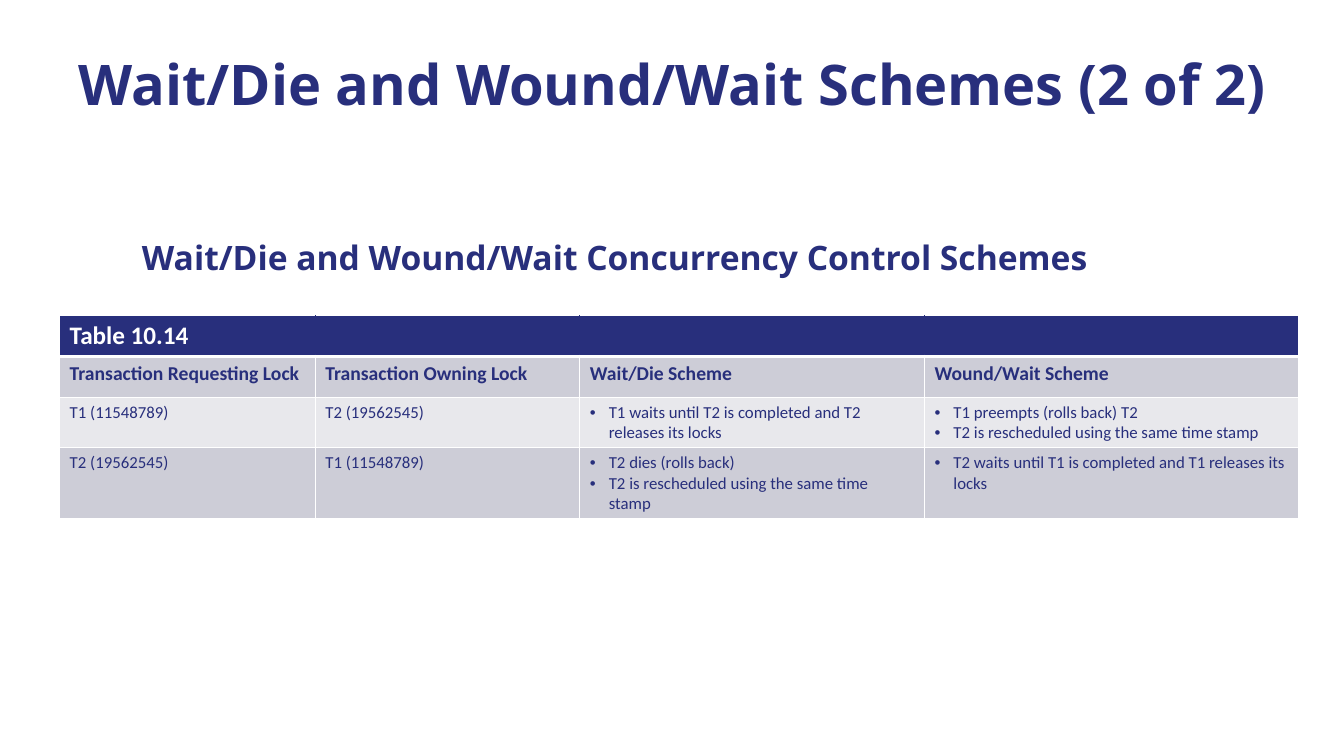
"""Build the slide on wait/die and wound/wait schemes."""
from dataclasses import dataclass
from lxml import etree
from pptx import Presentation
from pptx.dml.color import RGBColor
from pptx.enum import text
from pptx.oxml import ns
from pptx.util import Pt

TITLE = "Wait/Die and Wound/Wait Schemes (2 of 2)"
CAPTION = "Wait/Die and Wound/Wait Concurrency Control Schemes"
ROWS = [
    ["Table 10.14", "", "", ""],
    ["Transaction Requesting Lock", "Transaction Owning Lock",
     "Wait/Die Scheme", "Wound/Wait Scheme"],
    ["T1 (11548789)", "T2 (19562545)",
     ["T1 waits until T2 is completed and T2 releases its locks"],
     ["T1 preempts (rolls back) T2",
      "T2 is rescheduled using the same time stamp"]],
    ["T2 (19562545)", "T1 (11548789)",
     ["T2 dies (rolls back)",
      "T2 is rescheduled using the same time stamp"],
     ["T2 waits until T1 is completed and T1 releases its locks"]],
]
WIDTHS = [182.6, 189, 246.2, 267.2]
HEIGHT = 29.2


@dataclass(frozen=True)
class Theme:
    """Colours, fonts and type sizes."""
    navy: str = "282F7C"
    white: str = "FFFFFF"
    fills: tuple = ("282F7C", "CDCDD7", "E8E8EC", "CDCDD7")
    sizes: tuple = (18, 14, 12, 12)
    head: str = "Open Sans"
    body: str = "Calibri"
    title: int = 40
    caption: int = 24


LOOK = Theme()


def style(para, face, size, color, bold=True):
    """Set the font of a paragraph."""
    font = para.font
    font.name, font.size, font.bold = face, Pt(size), bold
    font.color.rgb = RGBColor.from_string(color)


def place(shape, left, top, width, height):
    """Move and size a shape."""
    shape.left, shape.top = Pt(left), Pt(top)
    shape.width, shape.height = Pt(width), Pt(height)


def bullet(para):
    """Give a paragraph a hanging bullet."""
    props = para._p.get_or_add_pPr()
    props.set("marL", str(Pt(13.5)))
    props.set("indent", str(Pt(-13.5)))
    etree.SubElement(props, ns.qn("a:buFont"), typeface="Arial")
    etree.SubElement(props, ns.qn("a:buChar"), char="•")


def border(cell, row, col):
    """Draw the four sides of a cell."""
    last = len(WIDTHS) - 1
    inner = LOOK.navy if row == 0 else LOOK.white
    sides = {
        "L": (1, inner if col else LOOK.white),
        "R": (1, inner if col < last else LOOK.white),
        "T": (3 if row == 1 else 1, LOOK.white),
        "B": (3 if row == 0 else 1, LOOK.white),
    }
    props = cell._tc.get_or_add_tcPr()
    for side, (width, color) in sides.items():
        line = etree.SubElement(props, ns.qn("a:ln" + side), w=str(Pt(width)))
        fill = etree.SubElement(line, ns.qn("a:solidFill"))
        etree.SubElement(fill, ns.qn("a:srgbClr"), val=color)


def write(cell, value, row):
    """Fill a cell with plain or bulleted text."""
    listed = isinstance(value, list)
    cell.text = "\n".join(value) if listed else value
    for para in cell.text_frame.paragraphs:
        style(para, LOOK.body, LOOK.sizes[row],
              LOOK.navy if row else LOOK.white, row < 2)
        if listed:
            bullet(para)


def grid(slide):
    """Add the table of schemes."""
    table = slide.shapes.add_table(
        len(ROWS), len(WIDTHS), Pt(42.6), Pt(225.5),
        Pt(sum(WIDTHS)), Pt(HEIGHT * len(ROWS))).table
    for col, width in enumerate(WIDTHS):
        table.columns[col].width = Pt(width)
    for row, values in enumerate(ROWS):
        table.rows[row].height = Pt(HEIGHT)
        for col, value in enumerate(values):
            cell = table.cell(row, col)
            border(cell, row, col)
            cell.fill.solid()
            cell.fill.fore_color.rgb = RGBColor.from_string(LOOK.fills[row])
            write(cell, value, row)


def main():
    """Make the deck and save it."""
    deck = Presentation()
    deck.slide_width, deck.slide_height = Pt(960), Pt(540)
    slide = deck.slides.add_slide(deck.slide_layouts[5])

    title = slide.shapes.title
    place(title, 37.5, 37.5, 885, 96)
    title.text = TITLE
    frame = title.text_frame
    frame.auto_size = text.MSO_AUTO_SIZE.NONE
    frame.vertical_anchor = text.MSO_ANCHOR.TOP
    para = frame.paragraphs[0]
    para.alignment, para.line_spacing = text.PP_ALIGN.CENTER, 0.9
    style(para, LOOK.head, LOOK.title, LOOK.navy)

    box = slide.shapes.add_textbox(Pt(94.3), Pt(165.6), Pt(772), Pt(58.3))
    box.text_frame.word_wrap = True
    box.text_frame.text = CAPTION
    style(box.text_frame.paragraphs[0], LOOK.head, LOOK.caption, LOOK.navy)

    grid(slide)
    deck.save("out.pptx")


if __name__ == "__main__":
    main()
